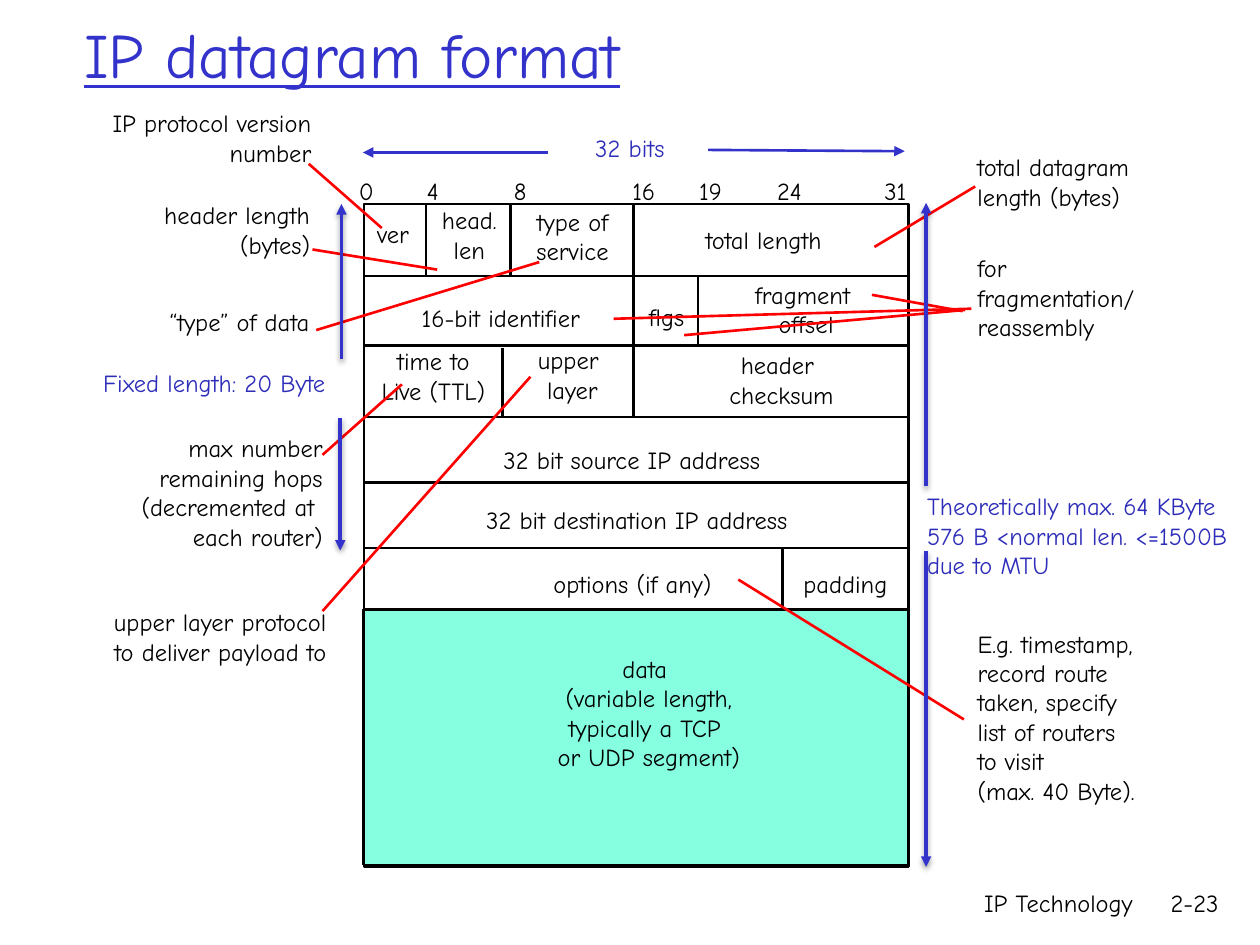
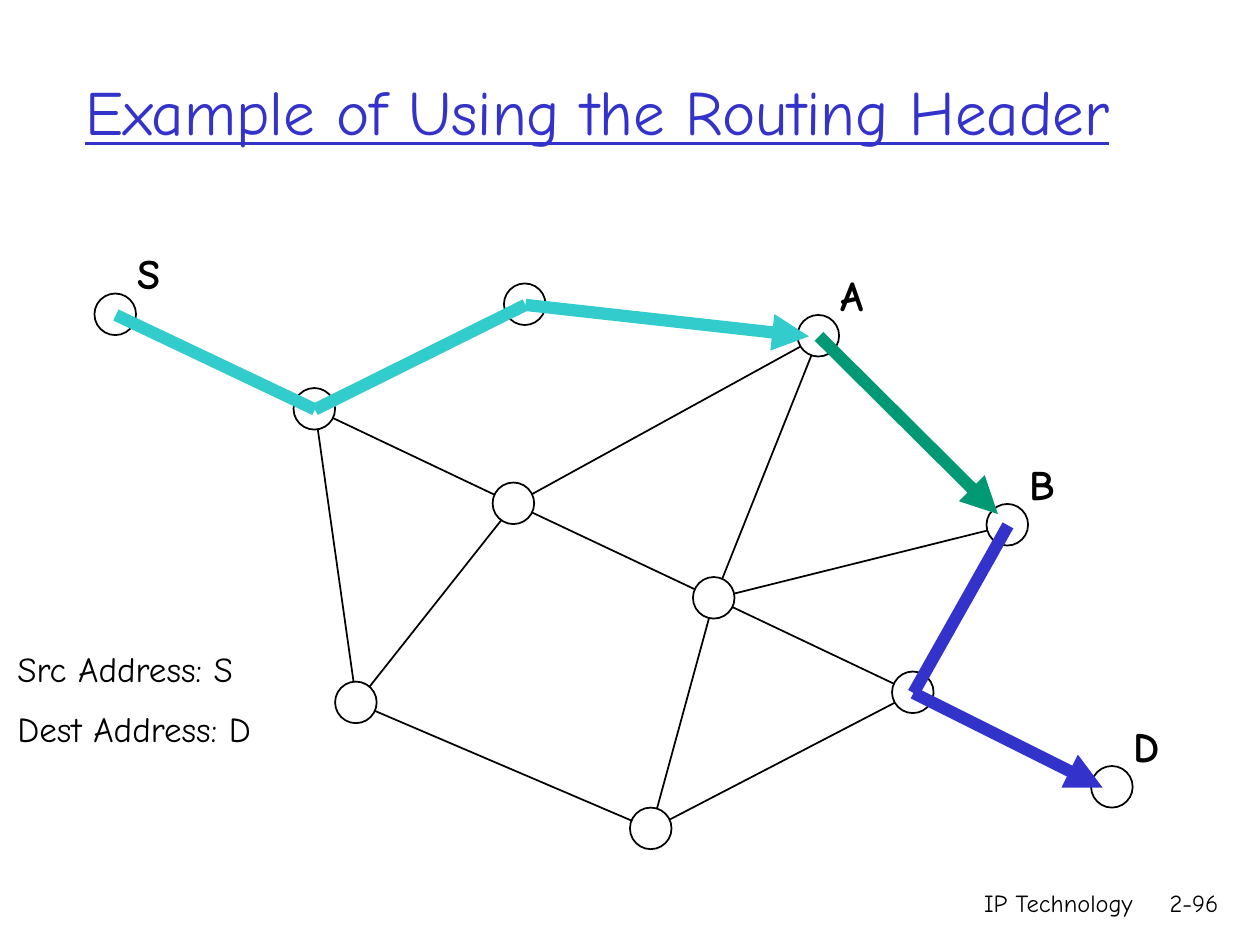
from lxml import etree
from pptx import Presentation, util as u
from pptx.dml.color import RGBColor
from pptx.enum import shapes, text
from pptx.oxml.ns import qn

PX = 9144  # EMU per px, 100 px to the inch
FONT = "Comic Neue"
COLORS = {
    "ink": "000000", "paper": "FFFFFF", "title": "3333CC", "note": "2D2DB9",
    "payload": "85FFE0", "pointer": "FF0000", "teal": "33CCCC", "green": "009973",
}
ALIGN = {"l": text.PP_ALIGN.LEFT, "c": text.PP_ALIGN.CENTER, "r": text.PP_ALIGN.RIGHT}


class Sketch:
    """Style of the deck and the slide being drawn."""

    def __init__(self):
        self.deck = Presentation()
        self.deck.slide_width, self.deck.slide_height = self.px(1000, 750)
        self.page = None

    def px(self, *lengths):
        return [u.Emu(length * PX) for length in lengths]

    def rgb(self, name):
        return RGBColor.from_string(COLORS[name])

    def new_page(self, title, title_box, number):
        self.page = self.deck.slides.add_slide(self.deck.slide_layouts[6])
        self.words(title, title_box, color="title", grow=False, middle=True,
                   size=u.Pt(36), underline=True)
        self.words("IP Technology", (592, 700, 317, 50), "r", grow=False)
        self.words(number, (898, 700, 79, 50), "r", grow=False)

    def words(self, content, place, align="l", color="ink", wrap=True, grow=True,
              middle=False, before=0, **font):
        box = self.page.shapes.add_textbox(*self.px(*place))
        frame = box.text_frame
        frame_format = {
            "word_wrap": wrap,
            "auto_size": text.MSO_AUTO_SIZE.SHAPE_TO_FIT_TEXT if grow
            else text.MSO_AUTO_SIZE.NONE,
            "vertical_anchor": text.MSO_ANCHOR.MIDDLE if middle else text.MSO_ANCHOR.TOP,
        }
        for key, value in frame_format.items():
            setattr(frame, key, value)
        span_format = {"name": FONT, "size": u.Pt(14), **font}
        for index, line in enumerate(content.split("\n")):
            para = frame.add_paragraph() if index else frame.paragraphs[0]
            para.alignment = ALIGN[align]
            para.space_before = u.Pt(before if index else 0)
            span = para.add_run()
            span.text = line
            for key, value in span_format.items():
                setattr(span.font, key, value)
            span.font.color.rgb = self.rgb(color)

    def shape(self, kind, place, fill=None, width=1.0):
        form = self.page.shapes.add_shape(kind, *self.px(*place))
        form.shadow.inherit = False
        if fill:
            form.fill.solid()
            form.fill.fore_color.rgb = self.rgb(fill)
        else:
            form.fill.background()
        form.line.color.rgb = self.rgb("ink")
        form.line.width = u.Pt(width)

    def line(self, start, end, color="ink", width=1.5, arrow=False, shadow=False):
        link = self.page.shapes.add_connector(
            shapes.MSO_CONNECTOR.STRAIGHT, *self.px(*start, *end))
        link.line.color.rgb = self.rgb(color)
        link.line.width = u.Pt(width)
        if arrow:
            etree.SubElement(link.line._get_or_add_ln(), qn("a:tailEnd"), type="triangle")
        effects = etree.SubElement(link._element.spPr, qn("a:effectLst"))
        if shadow:
            cast = etree.SubElement(effects, qn("a:outerShdw"), blurRad="40000",
                                    dist="20000", dir="5400000", rotWithShape="0")
            tint = etree.SubElement(cast, qn("a:srgbClr"), val=COLORS["ink"])
            etree.SubElement(tint, qn("a:alpha"), val="38000")


def datagram(sketch):
    sketch.new_page("IP datagram format", (57, 0, 850, 85), "2-23")

    # Header frame with the payload at its foot
    rectangle = shapes.MSO_SHAPE.RECTANGLE
    sketch.shape(rectangle, (288, 484, 433, 202), "payload", 0.75)
    sketch.shape(rectangle, (289, 162, 432, 526), width=1.5)
    for y in (219, 274, 331, 383, 435, 484):
        sketch.line((290, y), (721, y))
    dividers = [(338, 163, 219), (405, 163, 219), (503, 163, 331), (554, 219, 274),
                (399, 276, 331), (621, 435, 483)]
    for x, top, bottom in dividers:
        sketch.line((x, top), (x, bottom))

    # Bit scale
    bits = {"0": 275, "4": 329, "8": 398, "16": 492, "19": 545, "24": 607, "31": 692}
    for bit, left in bits.items():
        sketch.words(bit, (left, 135, 46, 34))
    sketch.words("32 bits", (457, 101, 86, 34), "c", "note", wrap=False)
    sketch.line((562, 119), (718, 120), "title", arrow=True)
    sketch.line((435, 121), (288, 121), "title", arrow=True)

    # Header fields
    fields = [
        ("ver", (287, 169, 50, 34)),
        ("head.\nlen", (338, 158, 69, 57)),
        ("type of\nservice", (411, 159, 87, 57)),
        ("total length", (542, 174, 128, 34)),
        ("16-bit identifier", (280, 236, 235, 34)),
        ("flgs", (487, 235, 84, 34)),
        ("fragment\n offset", (559, 217, 156, 57)),
        ("time to\nLive (TTL)", (287, 270, 114, 57)),
        ("upper\n layer", (415, 269, 72, 57)),
        ("header\n checksum", (560, 273, 114, 57)),
        ("32 bit source IP address", (378, 348, 247, 34)),
        ("32 bit destination IP address", (361, 396, 289, 34)),
        ("options (if any)", (423, 447, 158, 34)),
        ("padding", (626, 447, 90, 34)),
        ("data \n(variable length,\ntypically a TCP \nor UDP segment)", (428, 514, 174, 104)),
    ]
    for label, place in fields:
        sketch.words(label, place, "c", wrap=False)

    # Explanations, each with its pointers into the header
    notes = [
        ("IP protocol version\nnumber", (63, 81, 194, 57), "r",
         [((245, 130), (303, 181))]),
        ("header length\n (bytes)", (109, 154, 147, 57), "r",
         [((248, 198), (347, 214))]),
        ("“type” of data ", (107, 239, 155, 34), "r",
         [((251, 262), (428, 208))]),
        ("max number\nremaining hops\n(decremented at \neach router)",
         (87, 339, 179, 104), "r", [((256, 361), (319, 305))]),
        ("upper layer protocol\nto deliver payload to", (61, 477, 208, 57), "r",
         [((256, 485), (421, 299))]),
        ("total datagram\nlength (bytes)", (766, 116, 156, 57), "l",
         [((774, 148), (694, 196))]),
        ("for\nfragmentation/\nreassembly", (766, 196, 161, 81), "l",
         [((766, 246), (543, 266)), ((764, 247), (692, 234)), ((771, 245), (487, 253))]),
        ("E.g. timestamp,\nrecord route\ntaken, specify\nlist of routers\nto visit\n"
         "(max. 40 Byte).", (766, 494, 159, 151), "l", [((765, 571), (586, 460))]),
    ]
    for note, place, align, pointers in notes:
        sketch.words(note, place, align, wrap=False)
        for start, end in pointers:
            sketch.line(start, end, "pointer")

    # Length measures on both sides
    measures = [(735, 386, 161), (735, 437, 688), (271, 285, 162), (270, 332, 437)]
    for x, start, tip in measures:
        sketch.line((x, start), (x, tip), "title", 2, arrow=True, shadow=True)
    sketch.words("Theoretically max. 64 KByte\n576 B <normal len. <=1500B\ndue to MTU",
                 (726, 385, 274, 81), color="note")
    sketch.words("Fixed length: 20 Byte", (72, 287, 224, 34), color="note")


def routing(sketch):
    sketch.new_page("Example of Using the Routing Header", (58, 25, 915, 125), "2-96")

    # Router centres; hosts and waypoints carry capital letters
    nodes = {
        "S": (92, 250), "entry": (250, 325), "west": (408, 400), "hub": (567, 475),
        "exit": (725, 550), "D": (883, 625), "north": (417, 242), "A": (650, 267),
        "B": (800, 417), "southwest": (283, 558), "south": (517, 658),
    }
    links = [
        ("north", "A"), ("S", "entry"), ("entry", "north"), ("A", "B"), ("B", "exit"),
        ("exit", "D"), ("entry", "west"), ("west", "hub"), ("hub", "exit"),
        ("entry", "southwest"), ("west", "southwest"), ("south", "southwest"),
        ("south", "hub"), ("south", "exit"), ("west", "A"), ("hub", "A"), ("hub", "B"),
    ]
    for start, end in links:
        sketch.line(nodes[start], nodes[end], width=1)
    for x, y in nodes.values():
        sketch.shape(shapes.MSO_SHAPE.OVAL, (x - 17, y - 17, 33, 33), "paper")
    for name in "SABD":
        x, y = nodes[name]
        sketch.words(name, (x + 7, y - 59, 44, 51), wrap=False, middle=True,
                     size=u.Pt(24), bold=True)

    # Route legs, the arrow tips stopping short of the node centres
    legs = [
        ("teal", "S", nodes["entry"], False), ("teal", "north", (642, 267), True),
        ("teal", "north", nodes["entry"], False), ("title", "B", nodes["exit"], False),
        ("green", "A", (792, 408), True), ("title", "exit", (875, 625), True),
    ]
    for color, start, end, arrow in legs:
        sketch.line(nodes[start], end, color, 7, arrow)

    # Packet addresses
    sketch.words("Src Address: S\nDest Address: D", (4, 509, 276, 94), before=10.5,
                 size=u.Pt(20))


def main():
    sketch = Sketch()
    datagram(sketch)
    routing(sketch)
    sketch.deck.save("out.pptx")


if __name__ == "__main__":
    main()
